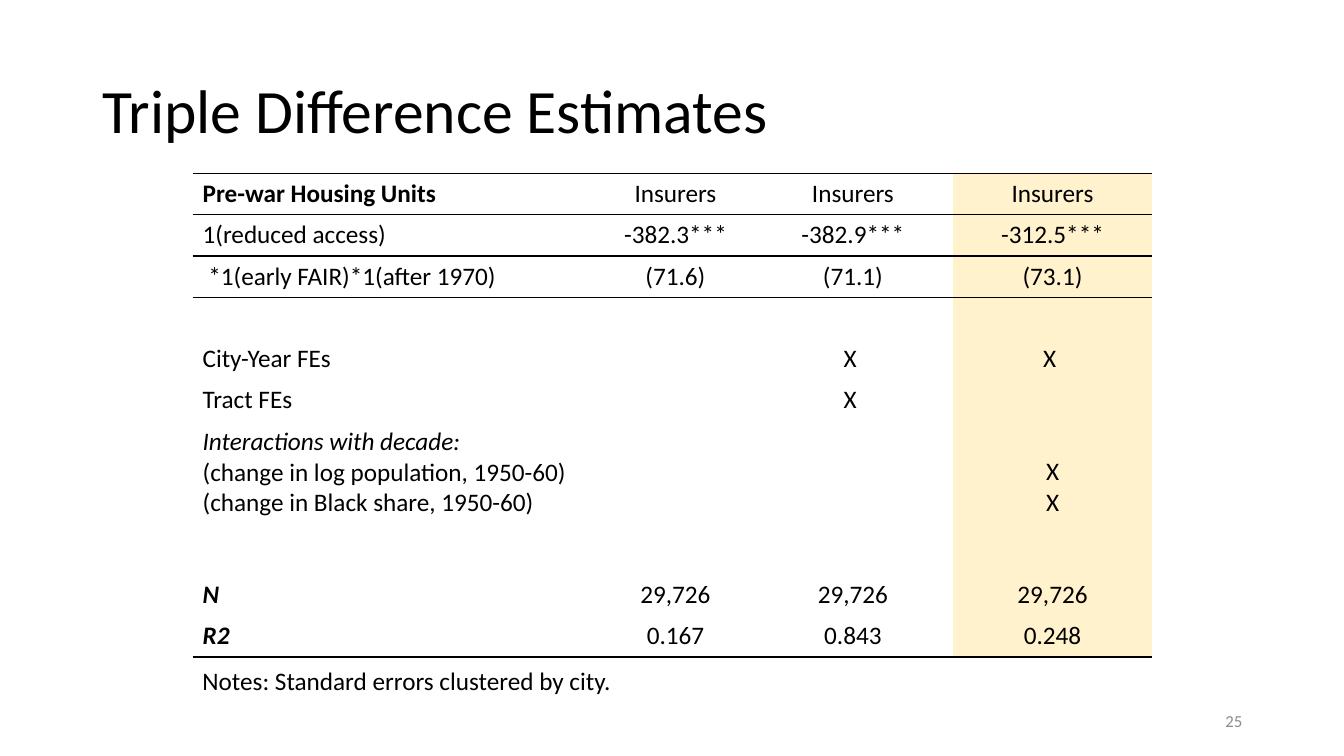
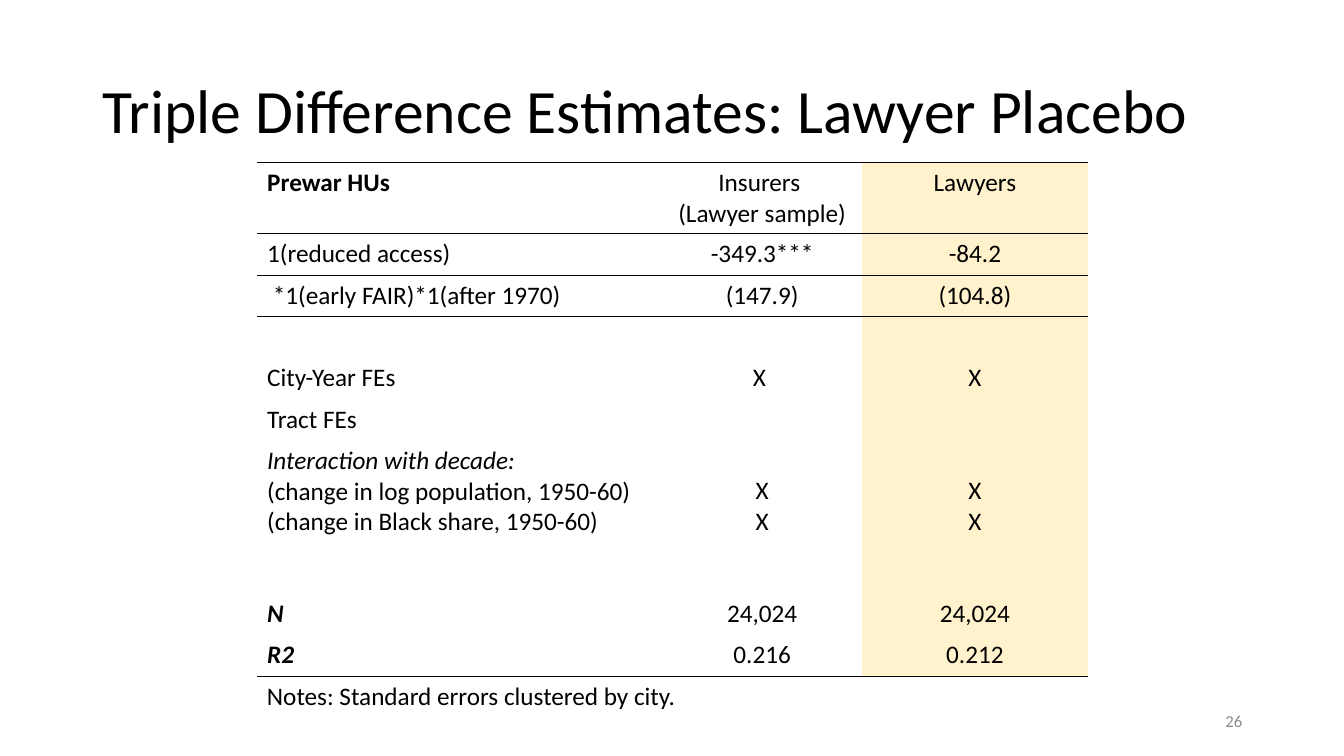
from dataclasses import dataclass

from lxml.etree import SubElement
from pptx import Presentation
from pptx.dml.color import RGBColor
from pptx.enum.text import MSO_ANCHOR, PP_ALIGN
from pptx.oxml.ns import qn
from pptx.util import Inches, Pt

COLORS = {"text": "000000", "highlight": "FFF2CC", "page_number": "8C8C8C"}
FONT = "Calibri"
NO_STYLE_NO_GRID = "{2D5ABB26-0587-4C30-8999-92F81FD0307C}"
LABEL_WIDTH = 4.02
ROW_HEIGHT = 0.41
NOTE = "Notes: Standard errors clustered by city."
CONTROLS = "(change in log population, 1950-60) (change in Black share, 1950-60)"


@dataclass(frozen=True)
class Row:
    label: str = ""
    values: tuple[str, ...] = ()
    height: float = ROW_HEIGHT
    bold: bool = False
    italic: bool = False
    detail: str = ""


@dataclass(frozen=True)
class EstimateSlide:
    title: str
    page: int
    left: float
    top: float
    note_top: float
    value_widths: tuple[float, ...]
    header: Row
    coefficients: tuple[str, ...]
    errors: tuple[str, ...]
    city_year: tuple[str, ...]
    tract: tuple[str, ...]
    interaction_label: str
    interactions: tuple[str, ...]
    observations: tuple[str, ...]
    r_squared: tuple[str, ...]

    def rows(self) -> list[Row]:
        return [
            self.header,
            Row("1(reduced access)", self.coefficients),
            Row(" *1(early FAIR)*1(after 1970)", self.errors),
            Row(),
            Row("City-Year FEs", self.city_year),
            Row("Tract FEs", self.tract),
            Row(self.interaction_label, self.interactions, 1.01,
                italic=True, detail=CONTROLS),
            Row(height=0.51),
            Row("N", self.observations, bold=True, italic=True),
            Row("R2", self.r_squared, bold=True, italic=True),
        ]


SLIDES = [
    EstimateSlide(
        "Triple Difference Estimates", 25, 1.91, 1.72, 6.55, (1.54, 1.98, 1.98),
        header=Row("Pre-war Housing Units", ("Insurers",) * 3, bold=True),
        coefficients=("-382.3***", "-382.9***", "-312.5***"),
        errors=("(71.6)", "(71.1)", "(73.1)"),
        city_year=("", "X ", "X "),
        tract=("", "X ", ""),
        interaction_label="Interactions with decade:",
        interactions=("", "", "X\nX"),
        observations=("29,726",) * 3,
        r_squared=("0.167", "0.843", "0.248"),
    ),
    EstimateSlide(
        "Triple Difference Estimates: Lawyer Placebo", 26, 2.55, 1.61, 6.7, (1.98, 2.24),
        header=Row("Prewar HUs", ("Insurers \n(Lawyer sample)", "Lawyers"), 0.71, bold=True),
        coefficients=("-349.3***", "-84.2"),
        errors=("(147.9)", "(104.8)"),
        city_year=("X ", "X"),
        tract=("", ""),
        interaction_label="Interaction with decade:",
        interactions=("X\nX", "X\nX"),
        observations=("24,024",) * 2,
        r_squared=("0.216", "0.212"),
    ),
]


def write_text(text_frame, text: str, *, size: float = 18, color: str = "text",
               bold: bool = False, italic: bool = False,
               align: PP_ALIGN = PP_ALIGN.LEFT, line_spacing: float | None = None) -> None:
    """Fill a text frame, one paragraph for each line of text."""
    text_frame.text = text
    for paragraph in text_frame.paragraphs:
        paragraph.alignment = align
        if line_spacing:
            paragraph.line_spacing = line_spacing
        paragraph.font.size = Pt(size)
        for run in paragraph.runs:
            run.font.name = FONT
            run.font.size = Pt(size)
            run.font.bold = bold
            run.font.italic = italic
            run.font.color.rgb = RGBColor.from_string(COLORS[color])


def add_text(slide, left: float, top: float, width: float, height: float, text: str, *,
             anchor: MSO_ANCHOR = MSO_ANCHOR.TOP, wrap: bool = True, **text_format) -> None:
    text_frame = slide.shapes.add_textbox(
        Inches(left), Inches(top), Inches(width), Inches(height)).text_frame
    text_frame.word_wrap = wrap
    text_frame.vertical_anchor = anchor
    write_text(text_frame, text, **text_format)


def add_border(cell, tag: str) -> None:
    """Rule one side of a cell; call before filling it, as borders come first."""
    line = SubElement(cell._tc.get_or_add_tcPr(), qn(tag), w=str(Pt(1)))
    fill = SubElement(line, qn("a:solidFill"))
    SubElement(fill, qn("a:srgbClr"), val=COLORS["text"])


def add_estimates(slide, content: EstimateSlide) -> None:
    rows = content.rows()
    widths = (LABEL_WIDTH, *content.value_widths)
    table = slide.shapes.add_table(
        len(rows), len(widths), Inches(content.left), Inches(content.top),
        Inches(sum(widths)), Inches(sum(row.height for row in rows))).table
    table.first_row = table.horz_banding = False
    table._tbl.tblPr.find(qn("a:tableStyleId")).text = NO_STYLE_NO_GRID
    for column, width in zip(table.columns, widths):
        column.width = Inches(width)

    last_column = len(widths) - 1
    ruled_rows = {0, 1, len(rows) - 1}
    for row_index, row in enumerate(rows):
        table.rows[row_index].height = Inches(row.height)
        values = row.values or ("",) * len(content.value_widths)
        for column_index, text in enumerate((row.label, *values)):
            cell = table.cell(row_index, column_index)
            if row_index in (0, 1, 2):
                add_border(cell, "a:lnT")
            if row_index in ruled_rows:
                add_border(cell, "a:lnB")
            if column_index == last_column:
                cell.fill.solid()
                cell.fill.fore_color.rgb = RGBColor.from_string(COLORS["highlight"])
            else:
                cell.fill.background()
            if column_index:
                write_text(cell.text_frame, text, align=PP_ALIGN.CENTER)
                if row.detail:
                    cell.vertical_anchor = MSO_ANCHOR.BOTTOM
            elif row.detail:
                write_text(cell.text_frame, f"{text}\n{row.detail}", italic=row.italic)
                cell.text_frame.paragraphs[1].runs[0].font.italic = False
            else:
                write_text(cell.text_frame, text, bold=row.bold, italic=row.italic)


def add_estimate_slide(presentation, content: EstimateSlide) -> None:
    slide = presentation.slides.add_slide(presentation.slide_layouts[6])
    add_text(slide, 0.92, 0.4, 11.5, 1.45, content.title, size=44,
             anchor=MSO_ANCHOR.MIDDLE, line_spacing=0.9)
    add_estimates(slide, content)
    add_text(slide, 9.42, 6.95, 3, 0.4, str(content.page), size=12, color="page_number",
             anchor=MSO_ANCHOR.MIDDLE, align=PP_ALIGN.RIGHT)
    add_text(slide, content.left, content.note_top, 4.3, 0.4, NOTE, wrap=False)


def main() -> None:
    presentation = Presentation()
    presentation.slide_width = Inches(13.33)
    presentation.slide_height = Inches(7.5)
    for content in SLIDES:
        add_estimate_slide(presentation, content)
    presentation.save("out.pptx")


if __name__ == "__main__":
    main()
